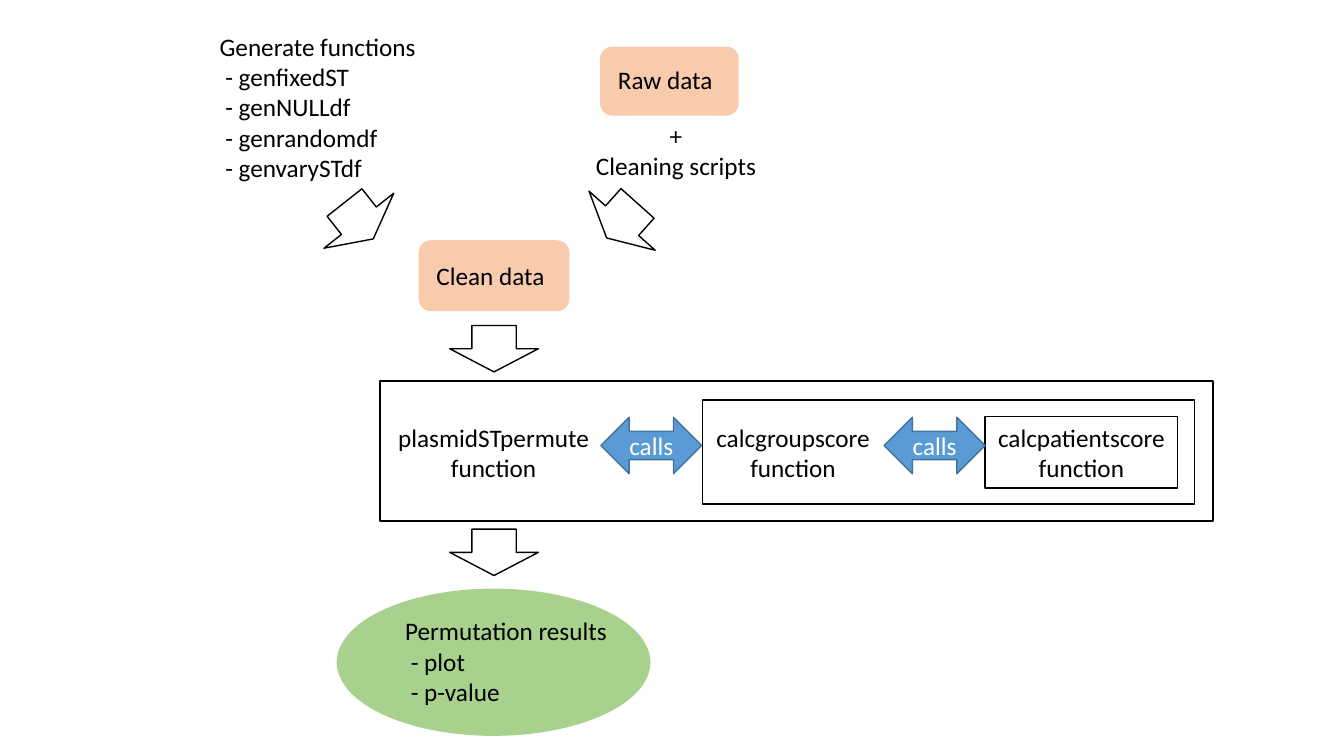
from pptx import Presentation
from pptx import util as u
from pptx.dml.color import RGBColor
from pptx.enum import shapes, text

COLORS = {
    "black": "000000",
    "white": "FFFFFF",
    "data": "F8CBAD",
    "result": "A9D18E",
    "call": "5B9BD5",
    "call_edge": "43739E",
}
KIND = shapes.MSO_SHAPE
CENTER = text.PP_ALIGN.CENTER
LEFT = text.PP_ALIGN.LEFT


class FlowPage:
    """The slide being drawn, with its font and colours."""

    font = "Calibri"
    size = 18

    def __init__(self, deck):
        self.page = deck.slides.add_slide(deck.slide_layouts[6])

    def color(self, name):
        return RGBColor.from_string(COLORS[name])

    def add_lines(self, box, lines, align, color="black"):
        frame = box.text_frame
        frame.word_wrap = True
        for number, line in enumerate(lines):
            para = frame.paragraphs[0] if number == 0 else frame.add_paragraph()
            para.alignment = align
            span = para.add_run()
            span.text = line
            span.font.name = self.font
            span.font.size = u.Pt(self.size)
            span.font.color.rgb = self.color(color)

    def label(self, place, lines, align=LEFT):
        box = self.page.shapes.add_textbox(*map(u.Inches, place))
        self.add_lines(box, lines, align)
        box.text_frame.auto_size = text.MSO_AUTO_SIZE.SHAPE_TO_FIT_TEXT

    def shape(self, kind, place, fill="white", edge="black", width=1):
        box = self.page.shapes.add_shape(kind, *map(u.Inches, place))
        box.shadow.inherit = False
        box.fill.solid()
        box.fill.fore_color.rgb = self.color(fill)
        box.line.color.rgb = self.color(edge)
        box.line.width = u.Pt(width)
        return box

    def data_box(self, place, name_place, name):
        self.shape(KIND.ROUNDED_RECTANGLE, place, "data", "data")
        self.label(name_place, [name])

    def flow_arrow(self, left, top, turn=0):
        arrow = self.shape(KIND.DOWN_ARROW, (left, top, 0.88, 0.46))
        arrow.rotation = turn

    def call_arrow(self, left):
        arrow = self.shape(KIND.LEFT_RIGHT_ARROW, (left, 4.14, 1, 0.56), "call", "call_edge")
        arrow.text_frame.vertical_anchor = text.MSO_ANCHOR.MIDDLE
        self.add_lines(arrow, ["calls"], CENTER, "white")


def main():
    deck = Presentation()
    deck.slide_width, deck.slide_height = u.Inches(13.33), u.Inches(7.5)
    flow = FlowPage(deck)

    # Inputs
    generators = ["genfixedST", "genNULLdf", "genrandomdf", "genvarySTdf"]
    flow.label((2.08, 0.26, 2.23, 1.62),
               ["Generate functions"] + [f" - {name}" for name in generators])
    flow.data_box((5.96, 0.47, 1.36, 0.67), (6.03, 0.59, 1.21, 0.4), "Raw data")
    flow.label((5.74, 1.14, 1.93, 0.71), ["+", "Cleaning scripts"], CENTER)
    flow.data_box((4.16, 2.39, 1.48, 0.69), (4.23, 2.53, 1.33, 0.4), "Clean data")

    # Results
    flow.shape(KIND.OVAL, (3.35, 5.85, 3.09, 1.44), "result", "result", 1.5)
    flow.label((3.92, 6.06, 2.25, 1.01), ["Permutation results", " - plot", " - p-value"])

    # Nested functions
    for frame in ((3.77, 3.78, 8.26, 1.39), (6.97, 3.97, 4.88, 1.03), (9.77, 4.13, 1.91, 0.71)):
        flow.shape(KIND.RECTANGLE, frame)
    for left, width, name in ((3.44, 2.91, "plasmidSTpermute"),
                              (6.91, 1.91, "calcgroupscore"),
                              (9.77, 1.91, "calcpatientscore")):
        flow.label((left, 4.14, width, 0.71), [f"{name} function"], CENTER)
    for left in (5.96, 8.77):
        flow.call_arrow(left)

    # Flow between the stages
    for left, top, turn in ((4.46, 5.25, 0), (4.46, 3.23, 0),
                            (3.12, 1.96, 321.7), (5.73, 1.96, 41.8)):
        flow.flow_arrow(left, top, turn)

    deck.save("out.pptx")


if __name__ == "__main__":
    main()
